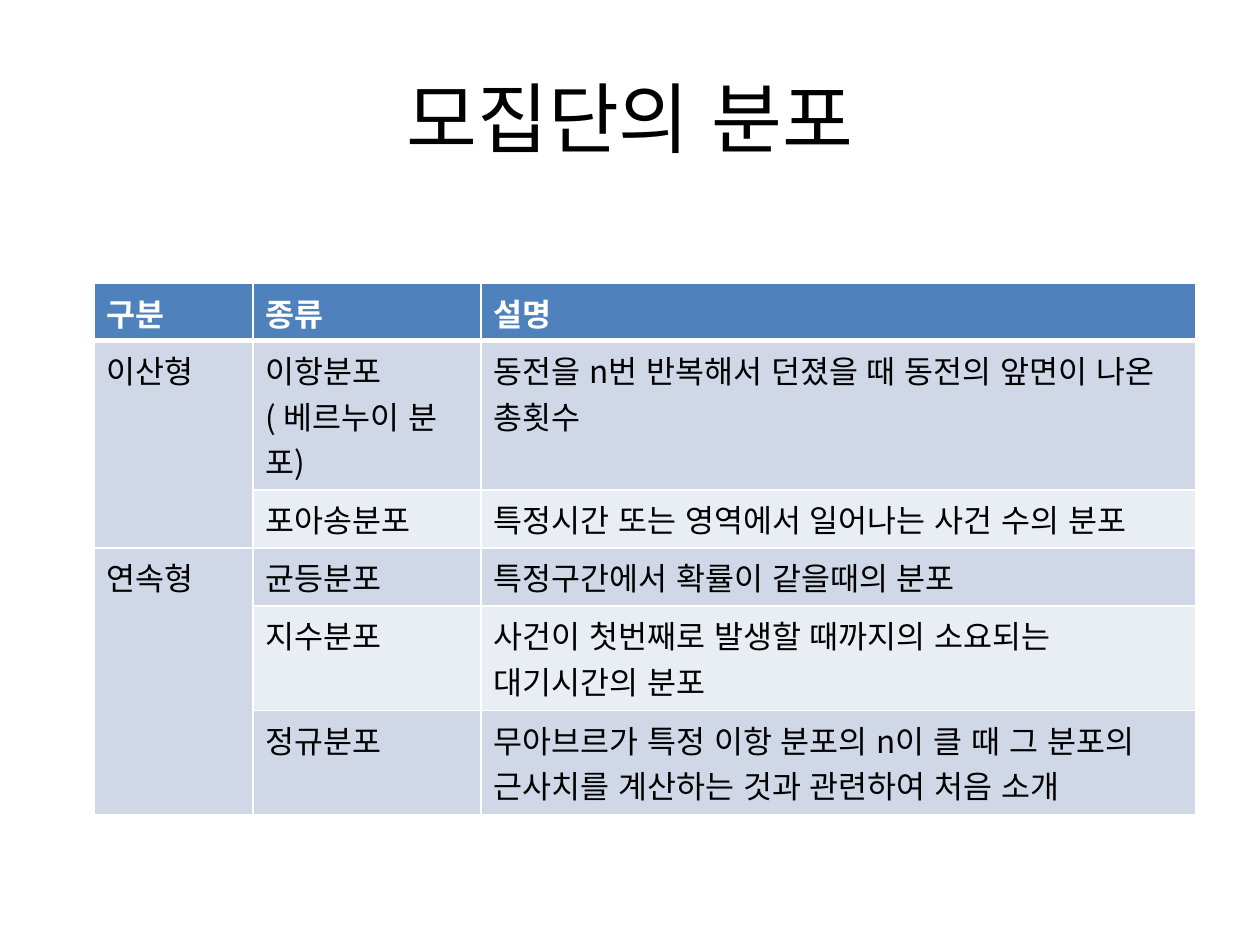
from pptx import Presentation
from pptx.dml.color import RGBColor
from pptx.enum import lang, text
from pptx.oxml import ns
from pptx.util import Cm, Pt
from lxml import etree

FONT = "Noto Sans CJK KR"
BLACK = RGBColor(0x00, 0x00, 0x00)
WHITE = RGBColor(0xFF, 0xFF, 0xFF)
HEADER_BLUE = RGBColor(0x4F, 0x81, 0xBD)
DARK_BAND = RGBColor(0xD0, 0xD8, 0xE8)
LIGHT_BAND = RGBColor(0xE9, 0xED, 0xF4)

BASE_FORMAT = {"name": FONT, "language_id": lang.MSO_LANGUAGE_ID.KOREAN}
TITLE_FORMAT = {**BASE_FORMAT, "size": Pt(44), "bold": False}
HEADER_FORMAT = {**BASE_FORMAT, "size": Pt(18), "bold": True}
BODY_FORMAT = {**BASE_FORMAT, "size": Pt(18), "bold": False}

COLUMN_WIDTHS = [Cm(3.2), Cm(4.6), Cm(14.4)]
ROW_HEIGHTS = [Cm(1.15), Cm(3.01), Cm(1.17), Cm(1.17), Cm(2.1), Cm(2.1)]
THIN, THICK = Pt(1), Pt(3)
HEADINGS = ["구분", "종류", "설명"]
GROUPS = {
    "이산형": [
        ("이항분포( 베르누이 분포)", "동전을 n번 반복해서 던졌을 때 동전의 앞면이 나온 총횟수"),
        ("포아송분포", "특정시간 또는 영역에서 일어나는 사건 수의 분포"),
    ],
    "연속형": [
        ("균등분포", "특정구간에서 확률이 같을때의 분포"),
        ("지수분포", "사건이 첫번째로 발생할 때까지의 소요되는 대기시간의 분포"),
        ("정규분포", "무아브르가 특정 이항 분포의 n이 클 때 그 분포의 근사치를 계산하는 것과 관련하여 처음 소개"),
    ],
}


def write_text(frame, words, formats, color):
    para = frame.paragraphs[0]
    span = para.add_run()
    span.text = words
    for name, value in formats.items():
        setattr(span.font, name, value)
    span.font.color.rgb = color
    return para


def add_title(page, words):
    box = page.shapes.add_textbox(Cm(1.27), Cm(0.76), Cm(22.86), Cm(3.18))
    frame = box.text_frame
    frame.word_wrap = True
    frame.vertical_anchor = text.MSO_ANCHOR.MIDDLE
    para = write_text(frame, words, TITLE_FORMAT, BLACK)
    para.alignment = text.PP_ALIGN.CENTER


def set_borders(cell, top, bottom):
    properties = cell._tc.get_or_add_tcPr()
    widths = {"a:lnL": THIN, "a:lnR": THIN, "a:lnT": top, "a:lnB": bottom}
    for index, (side, width) in enumerate(widths.items()):
        line = etree.Element(ns.qn(side), w=str(int(width)))
        fill = etree.SubElement(line, ns.qn("a:solidFill"))
        etree.SubElement(fill, ns.qn("a:srgbClr"), val=str(WHITE))
        properties.insert(index, line)


def fill_cell(cell, words, fill, formats=BODY_FORMAT, color=BLACK):
    cell.fill.solid()
    cell.fill.fore_color.rgb = fill
    write_text(cell.text_frame, words, formats, color)


def add_distribution_table(page):
    table = page.shapes.add_table(
        len(ROW_HEIGHTS), len(HEADINGS), Cm(1.9), Cm(5.72),
        sum(COLUMN_WIDTHS), sum(ROW_HEIGHTS),
    ).table
    for column, width in zip(table.columns, COLUMN_WIDTHS):
        column.width = width
    for index, (line, height) in enumerate(zip(table.rows, ROW_HEIGHTS)):
        line.height = height
        for cell in line.cells:
            set_borders(cell, THICK if index == 1 else THIN, THICK if index == 0 else THIN)
    for index, heading in enumerate(HEADINGS):
        fill_cell(table.cell(0, index), heading, HEADER_BLUE, HEADER_FORMAT, WHITE)

    row = 1
    for group, kinds in GROUPS.items():
        table.cell(row, 0).merge(table.cell(row + len(kinds) - 1, 0))
        fill_cell(table.cell(row, 0), group, DARK_BAND)
        for kind, description in kinds:
            band = DARK_BAND if row % 2 else LIGHT_BAND
            fill_cell(table.cell(row, 1), kind, band)
            fill_cell(table.cell(row, 2), description, band)
            row += 1


def main():
    deck = Presentation()
    deck.slide_width, deck.slide_height = Cm(25.4), Cm(19.05)
    page = deck.slides.add_slide(deck.slide_layouts[6])
    add_title(page, "모집단의 분포")
    add_distribution_table(page)
    deck.save("out.pptx")


if __name__ == "__main__":
    main()
